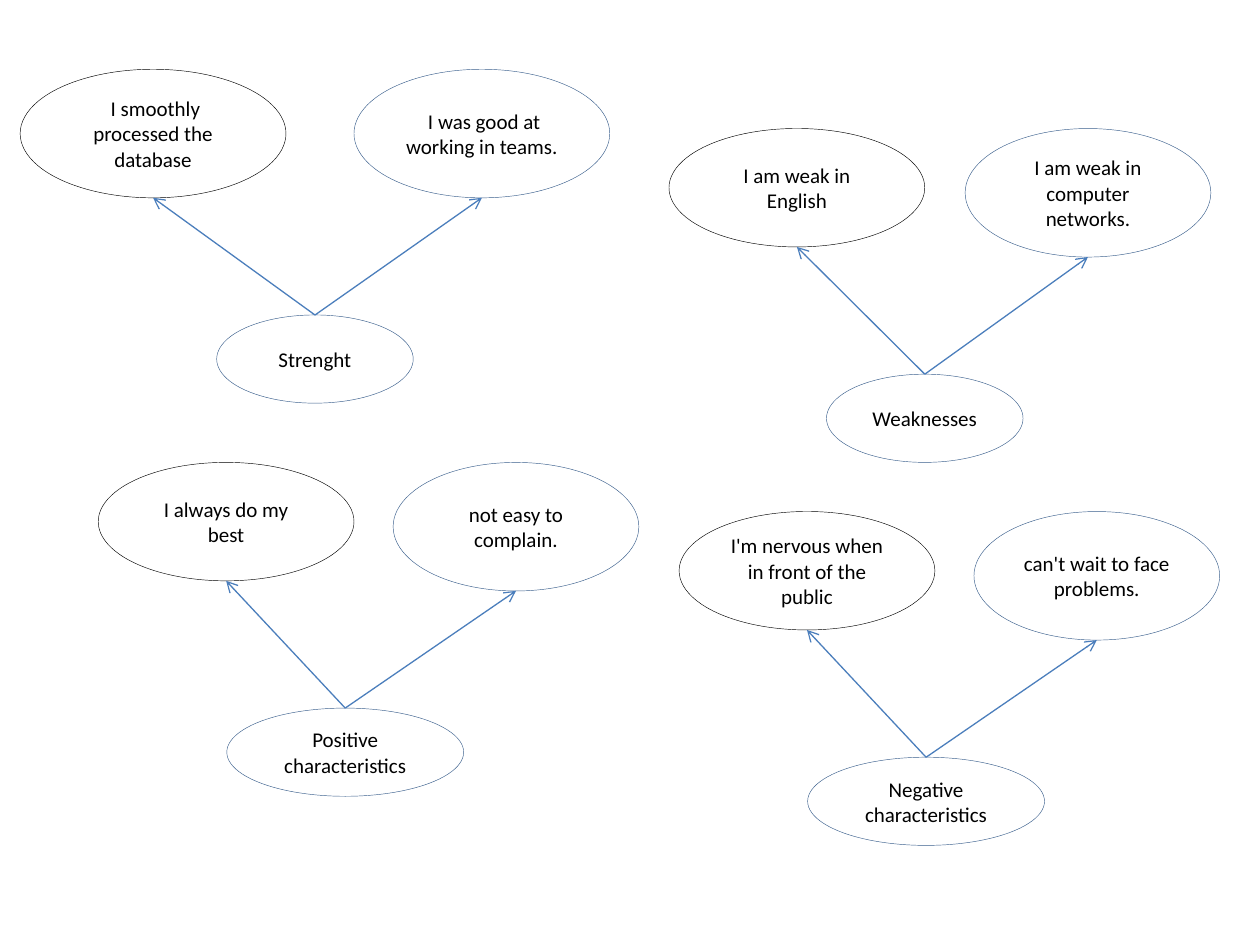
import pptx
import pptx.util
import pptx.dml.color
import pptx.enum.shapes
import pptx.enum.text
import pptx.oxml.ns
import lxml.etree
from collections import namedtuple

Inches = pptx.util.Inches
Pt = pptx.util.Pt
RGBColor = pptx.dml.color.RGBColor

WHITE = RGBColor(0xFF, 0xFF, 0xFF)
BLACK = RGBColor(0x00, 0x00, 0x00)
OUTLINE_BLUE = RGBColor(0x3A, 0x5F, 0x8C)
ARROW_BLUE = RGBColor(0x4B, 0x7E, 0xBC)

TOPIC_DROP = 1.95
TOPIC_HEIGHT = 0.7
RIGHT_HEIGHT = 1.02

Tree = namedtuple(
    "Tree", "left top topic topic_offset topic_width "
    "left_text left_size right_text right_offset right_width")

TREES = [
    Tree(0.16, 0.55, "Strenght", 1.56, 1.56,
         " I smoothly processed the database", (2.11, 1.02),
         " I was good at working in teams.", 2.65, 2.03),
    Tree(5.31, 1.02, "Weaknesses", 1.25, 1.56,
         "I am weak in English", (2.03, 0.94),
         "I am weak in computer networks.", 2.35, 1.95),
    Tree(0.78, 3.67, "Positive characteristics", 1.02, 1.88,
         "I always do my best", (2.03, 0.94),
         "not easy to complain.", 2.34, 1.95),
    Tree(5.39, 4.06, "Negative characteristics", 1.02, 1.88,
         "I'm nervous when in front of the public", (2.03, 0.94),
         "can't wait to face problems.", 2.34, 1.95),
]


def add_bubble(slide, text, left, top, width, height, outline=OUTLINE_BLUE):
    bubble = slide.shapes.add_shape(
        pptx.enum.shapes.MSO_SHAPE.OVAL,
        Inches(left), Inches(top), Inches(width), Inches(height))
    bubble.shadow.inherit = False
    bubble.fill.solid()
    bubble.fill.fore_color.rgb = WHITE
    bubble.line.color.rgb = outline
    bubble.line.width = Pt(0.25)
    frame = bubble.text_frame
    frame.word_wrap = True
    frame.vertical_anchor = pptx.enum.text.MSO_ANCHOR.MIDDLE
    paragraph = frame.paragraphs[0]
    paragraph.text = text
    paragraph.alignment = pptx.enum.text.PP_ALIGN.CENTER
    paragraph.font.name = "Calibri"
    paragraph.font.size = Pt(12)
    paragraph.font.color.rgb = BLACK
    return bubble


def add_arrow(slide, topic, trait):
    arrow = slide.shapes.add_connector(
        pptx.enum.shapes.MSO_CONNECTOR.STRAIGHT,
        topic.left + topic.width // 2, topic.top,
        trait.left + trait.width // 2, trait.top + trait.height)
    arrow.begin_connect(topic, 0)
    arrow.line.color.rgb = ARROW_BLUE
    arrow.line.width = Pt(0.75)
    qn = pptx.oxml.ns.qn
    line = arrow.line._get_or_add_ln()
    lxml.etree.SubElement(line, qn("a:tailEnd"), type="arrow")
    lxml.etree.SubElement(arrow._element.spPr, qn("a:effectLst"))


def add_tree(slide, tree):
    topic = add_bubble(
        slide, tree.topic, tree.left + tree.topic_offset,
        tree.top + TOPIC_DROP, tree.topic_width, TOPIC_HEIGHT)
    traits = [
        add_bubble(slide, tree.left_text, tree.left, tree.top,
                   *tree.left_size, outline=BLACK),
        add_bubble(slide, tree.right_text, tree.left + tree.right_offset,
                   tree.top, tree.right_width, RIGHT_HEIGHT),
    ]
    for trait in traits:
        add_arrow(slide, topic, trait)


presentation = pptx.Presentation()
presentation.slide_width = Inches(10)
presentation.slide_height = Inches(7.5)
slide = presentation.slides.add_slide(presentation.slide_layouts[6])
for tree in TREES:
    add_tree(slide, tree)
presentation.save("out.pptx")
